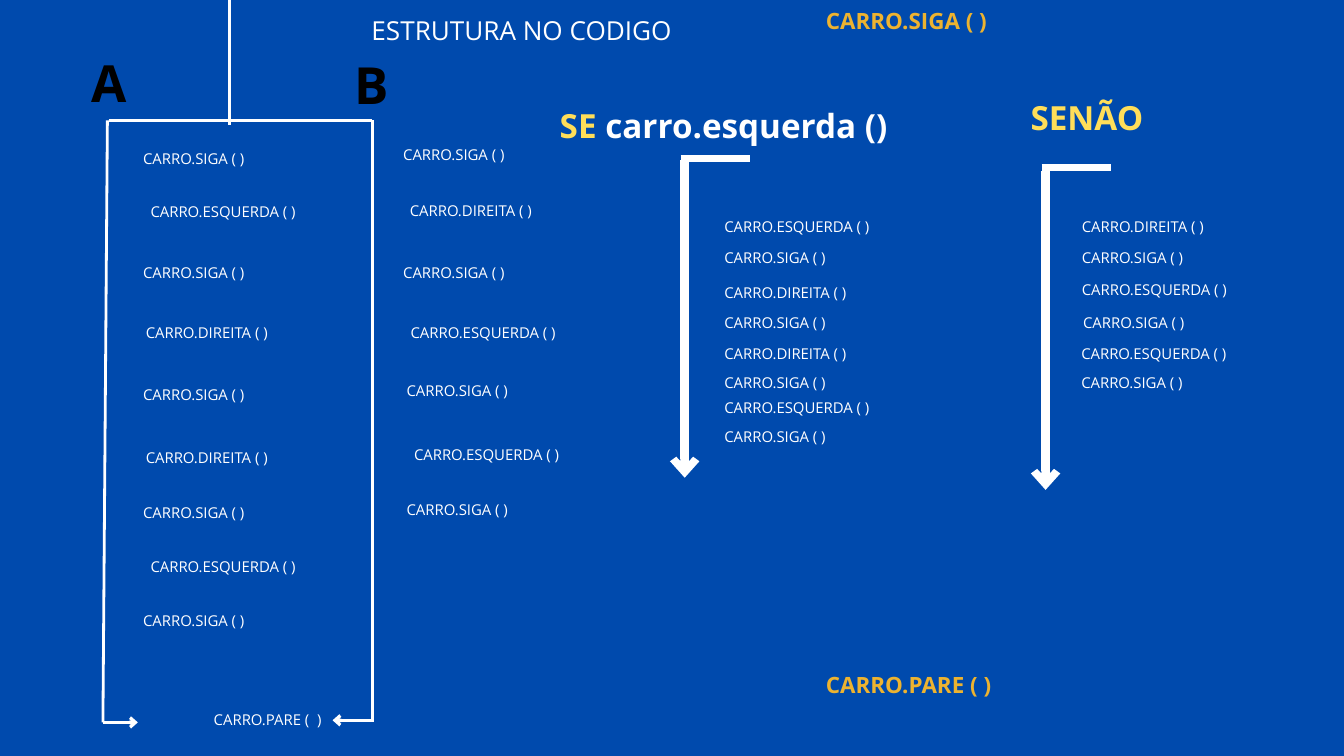
from typing import NamedTuple

from lxml.etree import SubElement
from pptx import Presentation
from pptx.dml.color import RGBColor
from pptx.enum.shapes import MSO_CONNECTOR as Link
from pptx.enum.text import MSO_AUTO_SIZE as Fit, PP_ALIGN as Align
from pptx.oxml.ns import qn
from pptx.util import Cm, Pt

BLUE = RGBColor(0x00, 0x4A, 0xAD)
WHITE = RGBColor(0xFF, 0xFF, 0xFF)
BLACK = RGBColor(0x00, 0x00, 0x00)
GOLD = RGBColor(0xED, 0xB3, 0x30)
YELLOW = RGBColor(0xFF, 0xDE, 0x59)


class Style(NamedTuple):
    size: float
    lead: float
    bold: bool = False
    align: Align = Align.LEFT


class Label(NamedTuple):
    x: float
    y: float
    w: float
    h: float
    style: Style
    runs: list[tuple[str, RGBColor]]


class Stroke(NamedTuple):
    x1: float
    y1: float
    x2: float
    y2: float
    width: float
    arrow: bool = False


class Call(NamedTuple):
    text: str
    w: float


class Step(NamedTuple):
    call: Call
    x: float
    y: float


CODE = Style(16, 22.4)
MAIN = Style(24, 33.6, True)
TITLE = Style(28, 39.2, align=Align.CENTER)
HEAD = Style(35.6, 49.9, True, Align.CENTER)
MARK = Style(54.8, 76.7, True, Align.CENTER)

SIGA = Call("CARRO.SIGA ( )", 5.51)
LEFT = Call("CARRO.ESQUERDA ( )", 9.02)
RIGHT = Call("CARRO.DIREITA ( )", 7.04)
STOP = Call("CARRO.PARE (  )", 6.1)

ROUTE_A = [
    Step(SIGA, 5.41, 5.56), Step(LEFT, 5.69, 7.54), Step(SIGA, 5.41, 9.86),
    Step(RIGHT, 5.51, 12.12), Step(SIGA, 5.41, 14.48), Step(RIGHT, 5.51, 16.84),
    Step(SIGA, 5.41, 18.92), Step(LEFT, 5.69, 20.96), Step(SIGA, 5.41, 22.99),
]
ROUTE_B = [
    Step(SIGA, 15.24, 5.38), Step(RIGHT, 15.49, 7.52), Step(SIGA, 15.24, 9.86),
    Step(LEFT, 15.52, 12.12), Step(SIGA, 15.37, 14.33), Step(LEFT, 15.65, 16.74),
    Step(SIGA, 15.37, 18.82),
]
IF_X = 27.38
IF_STEPS = [
    Step(LEFT, IF_X, 8.13), Step(SIGA, IF_X, 9.27), Step(RIGHT, IF_X, 10.62),
    Step(SIGA, IF_X, 11.76), Step(RIGHT, IF_X, 12.93), Step(SIGA, IF_X, 14.02),
    Step(LEFT, IF_X, 14.94), Step(SIGA, IF_X, 16.05),
]
ELSE_STEPS = [
    Step(RIGHT, 40.89, 8.13), Step(SIGA, 40.89, 9.27), Step(LEFT, 40.89, 10.49),
    Step(SIGA, 40.94, 11.76), Step(LEFT, 40.87, 12.93), Step(SIGA, 40.87, 14.02),
]

LABELS = [
    Label(31.22, 0.1, 6.38, 1.09, MAIN, [("CARRO.SIGA ( )", GOLD)]),
    Label(31.22, 25.2, 6.38, 1.09, MAIN, [("CARRO.PARE ( )", GOLD)]),
    Label(3.45, 1.57, 1.32, 2.57, MARK, [("A", BLACK)]),
    Label(13.39, 1.65, 1.3, 2.57, MARK, [("B", BLACK)]),
    Label(21.13, 3.71, 12.45, 1.65, HEAD,
          [("SE ", YELLOW), ("carro.esquerda ()", WHITE)]),
    Label(38.94, 3.43, 4.29, 1.65, HEAD, [("SENÃO", YELLOW)]),
    Label(14.02, 0.33, 11.38, 1.35, TITLE, [("ESTRUTURA NO CODIGO", WHITE)]),
]

STROKES = [
    Stroke(4.11, 4.55, 14.05, 4.55, 3),
    Stroke(14.07, 4.55, 14.07, 27.31, 3),
    Stroke(4.06, 4.55, 3.89, 27.31, 3),
    Stroke(3.89, 27.31, 5.21, 27.31, 3.75, True),
    Stroke(14.05, 27.23, 12.57, 27.23, 3.75, True),
    Stroke(8.66, 0, 8.66, 4.72, 3),
    Stroke(25.88, 6.05, 25.88, 18.06, 9, True),
    Stroke(39.52, 6.48, 39.52, 18.52, 9, True),
    Stroke(25.73, 5.99, 28.35, 5.99, 7.5),
    Stroke(39.37, 6.35, 41.99, 6.35, 7.5),
]


def draw_label(shapes, label: Label) -> None:
    box = shapes.add_textbox(Cm(label.x), Cm(label.y), Cm(label.w), Cm(label.h))
    style = label.style
    frame = box.text_frame
    format = dict(margin_left=0, margin_top=0, margin_right=0, margin_bottom=0,
                  word_wrap=True, auto_size=Fit.SHAPE_TO_FIT_TEXT)
    for name, value in format.items():
        setattr(frame, name, value)
    para = frame.paragraphs[0]
    para.alignment = style.align
    para.line_spacing = Pt(style.lead)
    for text, color in label.runs:
        run = para.add_run()
        run.text = text
        font = dict(name="Open Sans", size=Pt(style.size), bold=style.bold)
        for name, value in font.items():
            setattr(run.font, name, value)
        run.font.color.rgb = color


def draw_step(shapes, step: Step) -> None:
    call = step.call
    draw_label(shapes, Label(step.x, step.y, call.w, 0.72, CODE, [(call.text, WHITE)]))


def draw_stroke(shapes, stroke: Stroke) -> None:
    line = shapes.add_connector(Link.STRAIGHT, Cm(stroke.x1), Cm(stroke.y1),
                                Cm(stroke.x2), Cm(stroke.y2))
    line.line.color.rgb = WHITE
    line.line.width = Pt(stroke.width)
    props = line._element.spPr
    if stroke.arrow:
        SubElement(props.find(qn("a:ln")), qn("a:tailEnd"),
                   type="arrow", w="med", len="sm")
    SubElement(props, qn("a:effectLst"))


def main() -> None:
    deck = Presentation()
    deck.slide_width, deck.slide_height = Cm(50.8), Cm(28.58)
    slide = deck.slides.add_slide(deck.slide_layouts[6])
    fill = slide.background.fill
    fill.solid()
    fill.fore_color.rgb = BLUE
    for stroke in STROKES:
        draw_stroke(slide.shapes, stroke)
    for step in ROUTE_A + ROUTE_B + IF_STEPS + ELSE_STEPS + [Step(STOP, 8.08, 26.75)]:
        draw_step(slide.shapes, step)
    for label in LABELS:
        draw_label(slide.shapes, label)
    deck.save("out.pptx")


if __name__ == "__main__":
    main()
